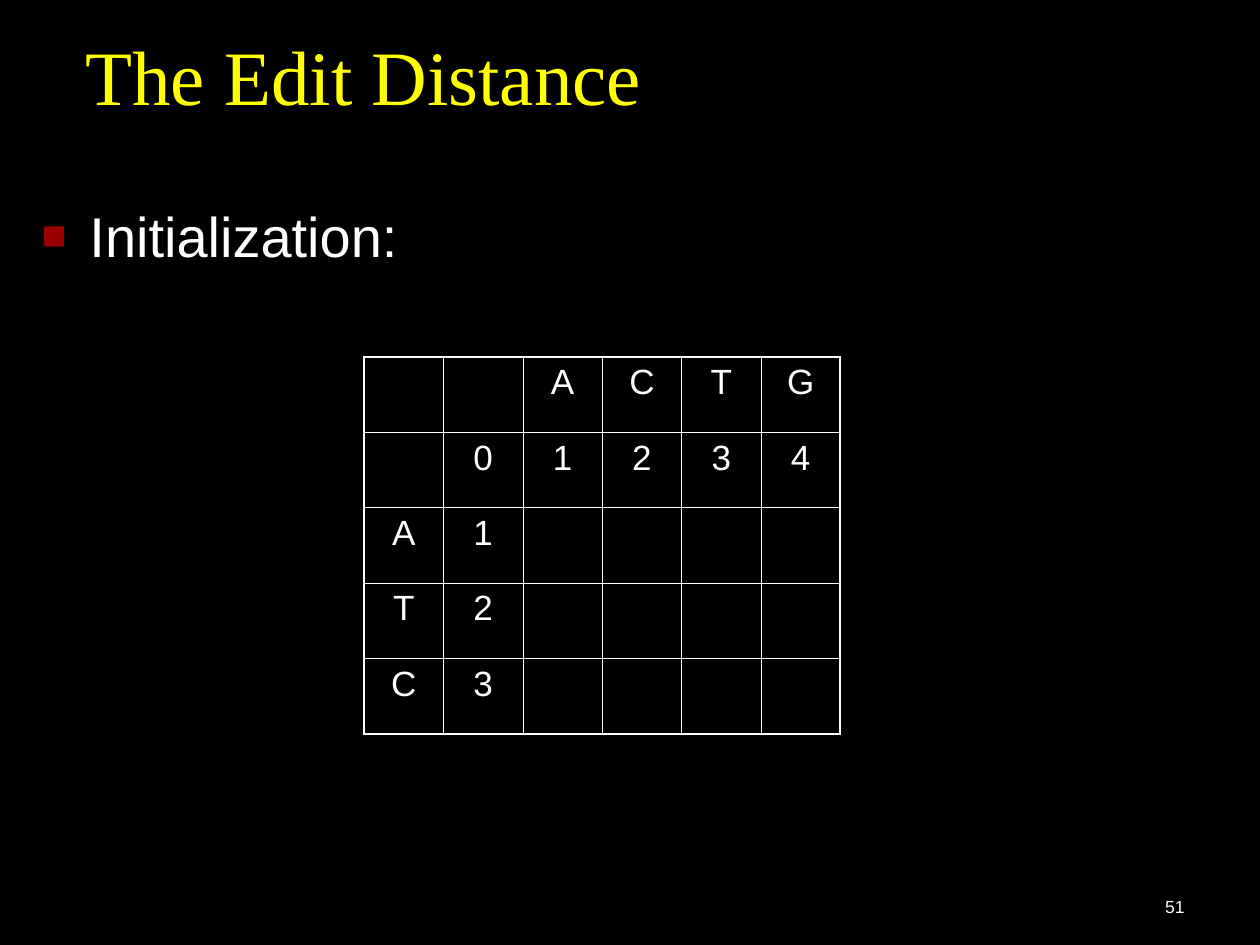
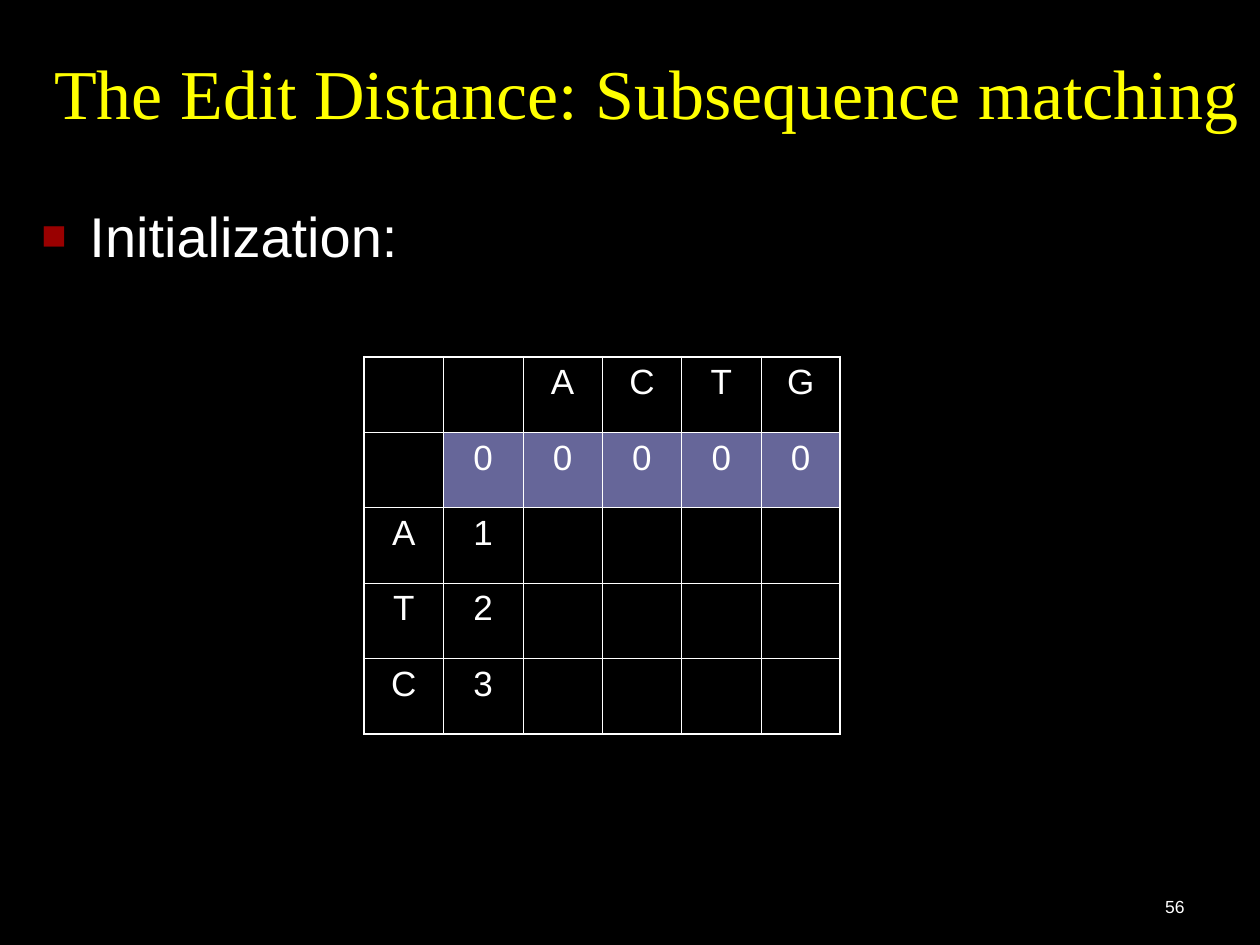
from dataclasses import dataclass

from lxml.etree import SubElement
from pptx import Presentation
from pptx.dml.color import RGBColor as Rgb
from pptx.enum.text import MSO_ANCHOR as Anchor, MSO_AUTO_SIZE as Fit, PP_ALIGN as Align
from pptx.oxml.ns import qn
from pptx.util import Cm, Pt


@dataclass(frozen=True)
class Theme:
    """Colours, fonts and type sizes of the deck."""
    back: str = "000000"
    ink: str = "FFFFFF"
    head: str = "FFFF00"
    mark: str = "990000"
    band: str = "666699"
    serif: str = "Times New Roman"
    sans: str = "Arial"
    body: int = 32
    cell: int = 20
    foot: int = 10
    thin: float = 0.45
    thick: float = 1.08


THEME = Theme()


def place(shape, left, top, width, height):
    """Move and size a shape in centimetres."""
    shape.left, shape.top = Cm(left), Cm(top)
    shape.width, shape.height = Cm(width), Cm(height)


def node(parent, tag, **attrs):
    """Add a drawing element with attributes."""
    child = SubElement(parent, qn(tag))
    for key, value in attrs.items():
        child.set(key, str(value))
    return child


def bullet(para, indent):
    """Give a paragraph a square bullet and a hanging indent."""
    props = para._p.get_or_add_pPr()
    props.set("marL", str(Cm(indent)))
    props.set("indent", str(-Cm(indent)))
    node(node(props, "a:buClr"), "a:srgbClr", val=THEME.mark)
    node(props, "a:buSzPct", val=75000)
    node(props, "a:buFont", typeface=THEME.sans)
    node(props, "a:buChar", char="■")


def write(frame, text, size, font=THEME.sans, color=THEME.ink,
          align=Align.LEFT, line=None, indent=None):
    """Write one formatted paragraph into a text frame."""
    para = frame.paragraphs[0]
    para.text = text
    para.alignment = align
    para.space_before = Pt(0)
    if line:
        para.line_spacing = line
    if indent:
        bullet(para, indent)
    para.font.size = Pt(size)
    para.font.name = font
    para.font.color.rgb = Rgb.from_string(color)


def setup(frame, anchor):
    """Set wrapping, fit and anchor of a frame."""
    frame.word_wrap = True
    frame.auto_size = Fit.NONE
    frame.vertical_anchor = anchor


def title(slide, text, size, box):
    """Fill the title placeholder."""
    shape = slide.shapes.title
    place(shape, *box)
    setup(shape.text_frame, Anchor.BOTTOM)
    write(shape.text_frame, text, size, font=THEME.serif, color=THEME.head, line=0.8)


def points(slide, text):
    """Fill the body placeholder with a bullet."""
    shape = slide.placeholders[1]
    place(shape, 0.58, 3.84, 24.82, 9.07)
    setup(shape.text_frame, Anchor.TOP)
    shape.text_frame.margin_top = Cm(0.23)
    write(shape.text_frame, text, THEME.body, indent=0.97)


def number(slide, value):
    """Add the page number at the lower right."""
    shape = slide.shapes.add_textbox(Cm(18.85), Cm(17.35), Cm(5.28), Cm(1.27))
    setup(shape.text_frame, Anchor.BOTTOM)
    write(shape.text_frame, str(value), THEME.foot, align=Align.RIGHT)


def border(cell, **outer):
    """Draw the four cell borders, thick on outer sides."""
    props = cell._tc.get_or_add_tcPr()
    for side in "LRTB":
        width = THEME.thick if outer[side] else THEME.thin
        line = node(props, f"a:ln{side}", w=Pt(width))
        node(node(line, "a:solidFill"), "a:srgbClr", val=THEME.ink)


def matrix(slide, across, down, first, band):
    """Add the distance table with its first row and column set."""
    rows = [["", "", *across], ["", *first]]
    rows += [[char, str(i), *[""] * len(across)] for i, char in enumerate(down, 1)]
    high, wide = len(rows), len(rows[0])
    grid = slide.shapes.add_table(high, wide, Cm(7.34), Cm(7.19),
                                  Cm(1.6 * wide), Cm(1.52 * high)).table
    grid.first_row = grid.horz_banding = False
    for r, row in enumerate(rows):
        for c, text in enumerate(row):
            cell = grid.cell(r, c)
            border(cell, L=c == 0, R=c == wide - 1, T=r == 0, B=r == high - 1)
            if band and r == 1 and c > 0:
                cell.fill.solid()
                cell.fill.fore_color.rgb = Rgb.from_string(THEME.band)
            else:
                cell.fill.background()
            write(cell.text_frame, text, THEME.cell, align=Align.CENTER)


def page(deck, head, size, box, first, band, count):
    """Add one slide on initializing the table."""
    slide = deck.slides.add_slide(deck.slide_layouts[1])
    title(slide, head, size, box)
    matrix(slide, "ACTG", "ATC", first, band)
    points(slide, "Initialization:")
    number(slide, count)


def main():
    """Build and save the deck."""
    deck = Presentation()
    deck.slide_width, deck.slide_height = Cm(25.4), Cm(19.05)
    fill = deck.slide_master.background.fill
    fill.solid()
    fill.fore_color.rgb = Rgb.from_string(THEME.back)
    page(deck, "The Edit Distance", 44, (1.47, 0.58, 22.66, 1.98), "01234", False, 51)
    page(deck, "The Edit Distance: Subsequence matching", 40,
         (0.84, 0.84, 24.56, 1.96), "00000", True, 56)
    deck.save("out.pptx")


if __name__ == "__main__":
    main()
